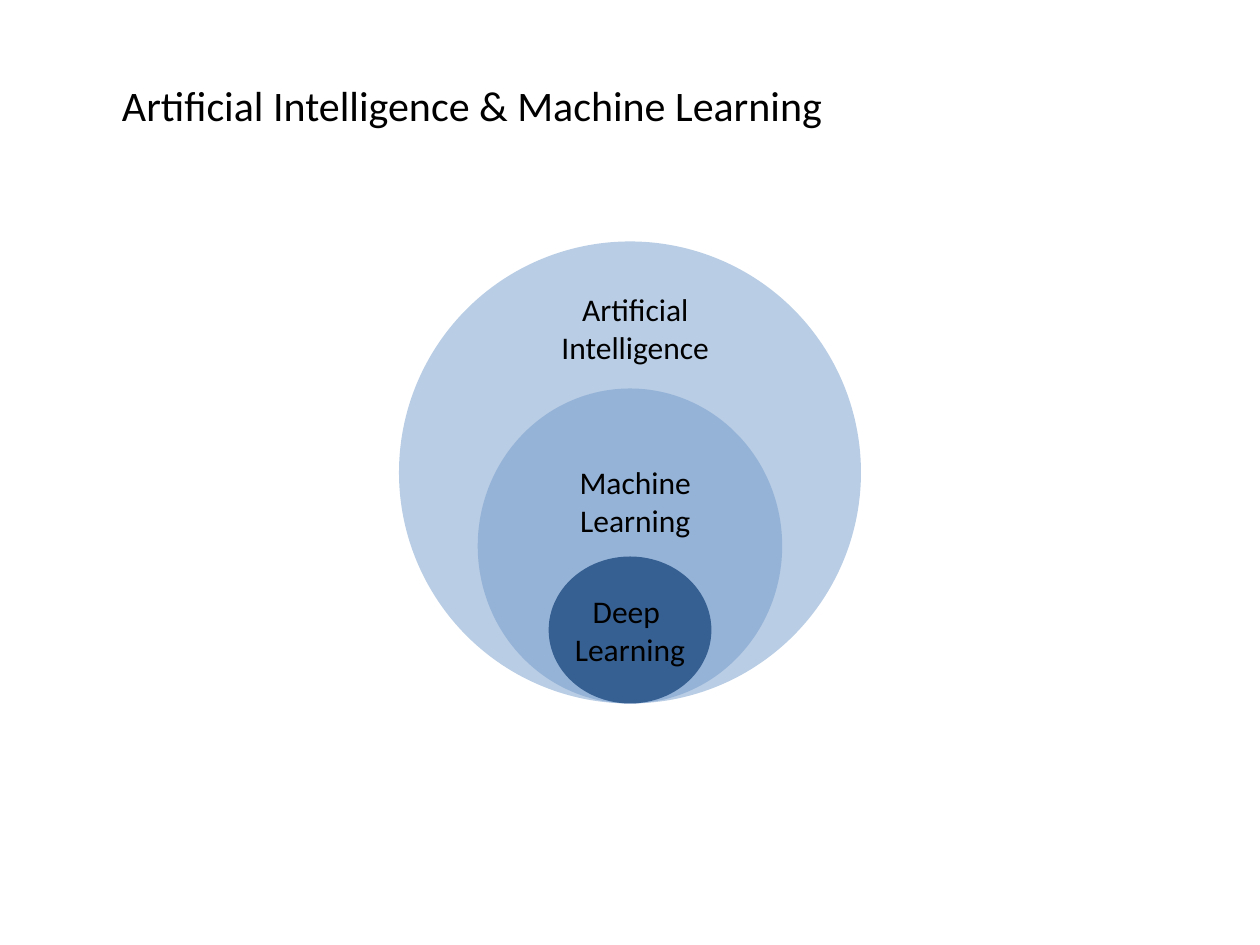
from pptx import Presentation
from pptx.dml.color import RGBColor
from pptx.enum.shapes import MSO_SHAPE as SHAPE
from pptx.enum.text import MSO_ANCHOR as ANCHOR, MSO_AUTO_SIZE as AUTO, PP_ALIGN as ALIGN
from pptx.util import Pt

BLACK = RGBColor(0x00, 0x00, 0x00)
LIGHT_BLUE = RGBColor(0xB9, 0xCD, 0xE5)
MID_BLUE = RGBColor(0x95, 0xB3, 0xD7)
DARK_BLUE = RGBColor(0x37, 0x60, 0x92)
FONT = "Calibri"

# Nested fields, outermost first: colour, width, height of the ellipse
FIELDS = [
    (LIGHT_BLUE, 264, 264),
    (MID_BLUE, 174, 180),
    (DARK_BLUE, 93, 84),
]
# Paragraphs, then left, top and width relative to the diagram
LABELS = [
    (["Artificial Intelligence"], 54, 24, 162),
    (["Machine Learning"], 66, 123, 138),
    (["Deep ", "Learning"], 63, 197, 138),
]
LABEL_HEIGHT = 51


def write(tf, lines, size, align):
    tf.auto_size = AUTO.SHAPE_TO_FIT_TEXT
    tf.vertical_anchor = ANCHOR.TOP
    for i, line in enumerate(lines):
        p = tf.add_paragraph() if i else tf.paragraphs[0]
        p.alignment = align
        r = p.add_run()
        r.text = line
        r.font.name = FONT
        r.font.size = Pt(size)
        r.font.color.rgb = BLACK


def add_title(s, x, y, w, h):
    sp = s.shapes.title
    sp.left, sp.top, sp.width, sp.height = Pt(x), Pt(y), Pt(w), Pt(h)
    sp.text_frame.word_wrap = False
    write(sp.text_frame, ["Artificial Intelligence & Machine Learning"], 24, ALIGN.LEFT)


def add_nested_circles(s, x, y, w, h):
    """Stack ellipses that share a centre line and touch at the bottom."""
    for color, width, height in FIELDS:
        sp = s.shapes.add_shape(SHAPE.OVAL, Pt(x + (w - width) / 2), Pt(y + h - height),
                                Pt(width), Pt(height))
        sp.shadow.inherit = False
        sp.fill.solid()
        sp.fill.fore_color.rgb = color
        sp.line.fill.background()
    for lines, left, top, width in LABELS:
        sp = s.shapes.add_textbox(Pt(x + left), Pt(y + top), Pt(width), Pt(LABEL_HEIGHT))
        sp.text_frame.word_wrap = True
        write(sp.text_frame, lines, 18, ALIGN.CENTER)


def main():
    prs = Presentation()
    prs.slide_width, prs.slide_height = Pt(720), Pt(540)
    s = prs.slides.add_slide(prs.slide_layouts[5])
    add_title(s, 62.5, 42, 419, 36)
    add_nested_circles(s, 228, 138, 264, 264)
    prs.save("out.pptx")


if __name__ == "__main__":
    main()
